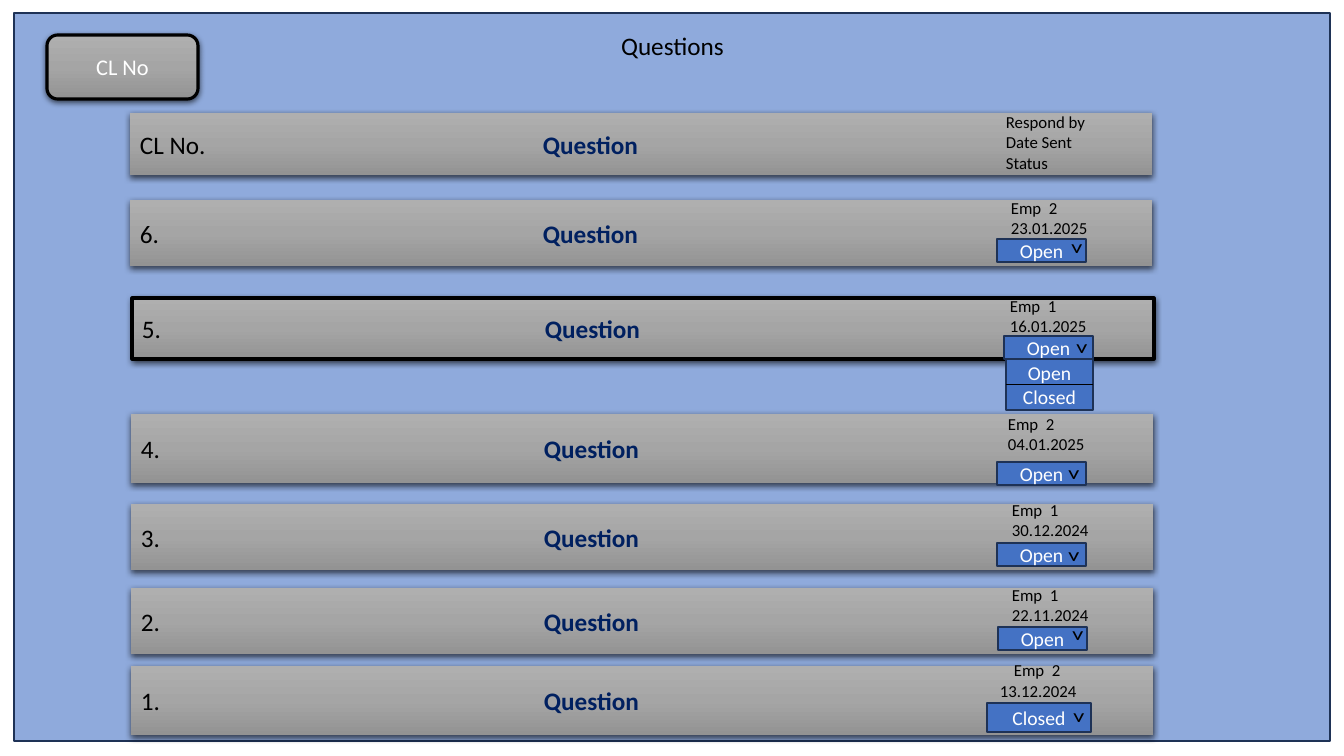
from lxml.etree import SubElement
from pptx import Presentation
from pptx.dml.color import RGBColor
from pptx.enum.shapes import MSO_CONNECTOR, MSO_SHAPE
from pptx.enum.text import MSO_ANCHOR, MSO_AUTO_SIZE, PP_ALIGN
from pptx.oxml.ns import qn
from pptx.util import Pt

# Content: places are left, top, width, height in px
TITLE = "Questions"
TITLE_PLACE = (606, 26, 133, 39)
PANEL_PLACE = (14, 13, 1316, 728)
BUTTON = ("CL No", (47, 35, 151, 64))
HEADER = {
    "label": "CL No.", "bar": (130, 113, 1022, 62),
    "details": [((996, 107, 137, 72), ["Respond by", "Date Sent", "Status"])],
}
# label, bar (left, top, height), details (left, top), lines,
# status, status box (left, top), arrow mark (left, top)
ROWS = [
    ("6.", (130, 200, 66), (1001, 193), ["Emp  2", "23.01.2025"], "Open", (997, 239), (1011, 227)),
    ("5.", (132, 298, 61), (1000, 291), ["Emp  1", "16.01.2025"], "Open", (1004, 336), (1016, 327)),
    ("4.", (131, 414, 69), (998, 409), ["Emp  2", "04.01.2025"], "Open", (997, 462), (1008, 453)),
    ("3.", (131, 504, 66), (1002, 495), ["Emp  1", "30.12.2024"], "Open", (997, 543), (1008, 535)),
    ("2.", (131, 588, 66), (1002, 580), ["Emp  1", "22.11.2024"], "Open", (998, 627), (1012, 614)),
    ("1.", (131, 666, 69), None, [], "Closed", (987, 703), (1013, 696)),
]
LAST_DETAILS = [((1004, 655, 89, 30), ["Emp  2"]), ((990, 676, 106, 30), ["13.12.2024"])]
SELECTED = "5."
MENU = (["Open", "Closed"], (1006, 359, 87, 51))
STATUS_SIZE = {"Open": (89, 23), "Closed": (104, 29)}
BAR_WIDTH = 1022
QUESTION_TAB = 403

FONT = "Calibri"
COLORS = {"panel": "8FAADC", "edge": "1E3256", "status": "4472C4",
          "question": "002060", "black": "000000", "white": "FFFFFF"}
BAR_GRADIENT = [(0, "AFAFAF"), (50, "A5A5A5"), (100, "939393")]
SCALE = 914400 / 100.8


def px(value):
    return round(value * SCALE)


def color(name):
    return RGBColor.from_string(COLORS[name])


def write(shape, lines, size, ink, align=PP_ALIGN.LEFT, anchor=MSO_ANCHOR.MIDDLE):
    frame = shape.text_frame
    frame.word_wrap = True
    frame.auto_size = MSO_AUTO_SIZE.NONE
    frame.vertical_anchor = anchor
    frame.text = "\n".join(lines)
    for para in frame.paragraphs:
        para.alignment = align
        para.font.name = FONT
        para.font.size = Pt(size)
        para.font.color.rgb = color(ink)


def add_box(place, fill=None, line=None, weight=1, kind=MSO_SHAPE.RECTANGLE):
    box = page.shapes.add_shape(kind, *map(px, place))
    box.shadow.inherit = False
    if fill:
        box.fill.solid()
        box.fill.fore_color.rgb = color(fill)
    if line:
        box.line.color.rgb = color(line)
        box.line.width = Pt(weight)
    else:
        box.line.fill.background()
    return box


def add_raised(place, line=None, kind=MSO_SHAPE.RECTANGLE):
    """A grey gradient box with a soft shadow below."""
    box = add_box(place, line=line, weight=2.25, kind=kind)
    box.fill.gradient()
    box.fill.gradient_angle = 270
    properties = box.element.spPr
    stops = properties.find(".//" + qn("a:gsLst"))
    stops.clear()
    for position, shade in BAR_GRADIENT:
        stop = SubElement(stops, qn("a:gs"), pos=str(position * 1000))
        SubElement(stop, qn("a:srgbClr"), val=shade)
    shadow = SubElement(properties.find(qn("a:effectLst")), qn("a:outerShdw"),
                        blurRad=str(Pt(4.5)), dist=str(Pt(1.5)), dir="5400000",
                        algn="ctr", rotWithShape="0")
    tint = SubElement(shadow, qn("a:srgbClr"), val=COLORS["black"])
    SubElement(tint, qn("a:alpha"), val="63000")
    return box


def add_bar(label, place, line=None):
    bar = add_raised(place, line)
    write(bar, [label + "\t"], 18, "black")
    para = bar.text_frame.paragraphs[0]
    span = para.add_run()
    span.text = "Question"
    span.font.bold = True
    span.font.color.rgb = color("question")
    tabs = SubElement(para._p.get_or_add_pPr(), qn("a:tabLst"))
    SubElement(tabs, qn("a:tab"), pos=str(px(QUESTION_TAB)), algn="l")
    # Tab stops come before the default run properties
    defaults = para._p.pPr.find(qn("a:defRPr"))
    if defaults is not None:
        defaults.addprevious(tabs)


def add_text(place, lines, size=12):
    box = page.shapes.add_textbox(*map(px, place))
    write(box, lines, size, "black", anchor=MSO_ANCHOR.TOP)
    return box


def add_status(place, lines):
    box = add_box(place, "status", "edge")
    write(box, lines, 14, "white", PP_ALIGN.CENTER)
    return box


deck = Presentation()
deck.slide_width, deck.slide_height = px(1344), px(756)
page = deck.slides.add_slide(deck.slide_layouts[5])

# Panel with the title in front of it
panel = add_box(PANEL_PLACE, "panel", "edge")
title = page.shapes.title
title.left, title.top, title.width, title.height = map(px, TITLE_PLACE)
write(title, [TITLE], 18, "black", PP_ALIGN.CENTER)
panel.element.addnext(title.element)

# Button and header bar
button_text, button_place = BUTTON
button = add_raised(button_place, "black", MSO_SHAPE.ROUNDED_RECTANGLE)
write(button, [button_text], 16, "white", PP_ALIGN.CENTER)
add_bar(HEADER["label"], HEADER["bar"])
for place, lines in HEADER["details"]:
    add_text(place, lines)

# Question rows
for label, (left, top, height), details, lines, status, status_at, mark_at in ROWS:
    add_bar(label, (left, top, BAR_WIDTH, height), "black" if label == SELECTED else None)
    blocks = [((*details, 107, 50), lines)] if details else LAST_DETAILS
    for place, block in blocks:
        add_text(place, block)
    add_status((*status_at, *STATUS_SIZE[status]), [status])
    mark = add_text((*mark_at, 82, 40), ["^"], 18)
    mark.rotation = 180

# Open menu of the selected row, split by a line
choices, menu_place = MENU
menu = add_status(menu_place, choices)
divider = page.shapes.add_connector(MSO_CONNECTOR.STRAIGHT, 0, 0, 0, 0)
divider.begin_connect(menu, 1)
divider.end_connect(menu, 3)
divider.line.color.rgb = color("black")
divider.line.width = Pt(1)
SubElement(divider.element.spPr, qn("a:effectLst"))

deck.save("out.pptx")
